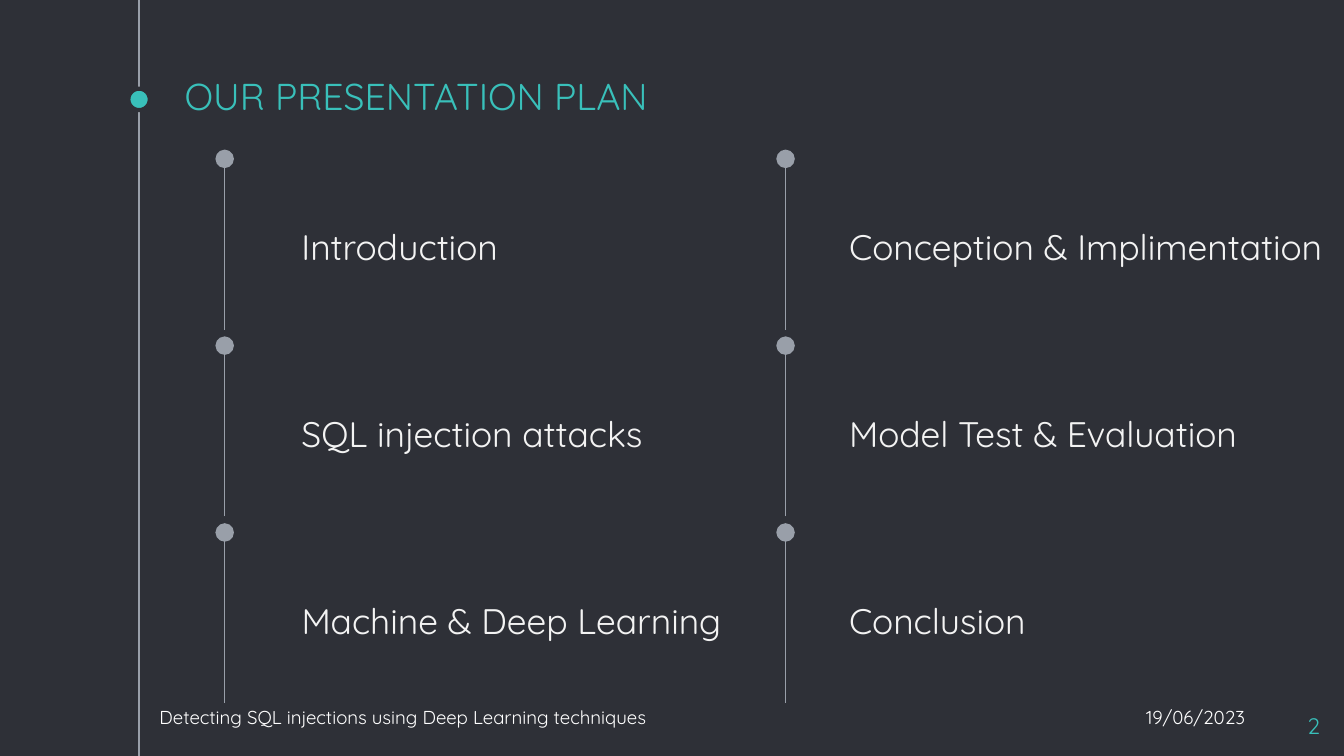
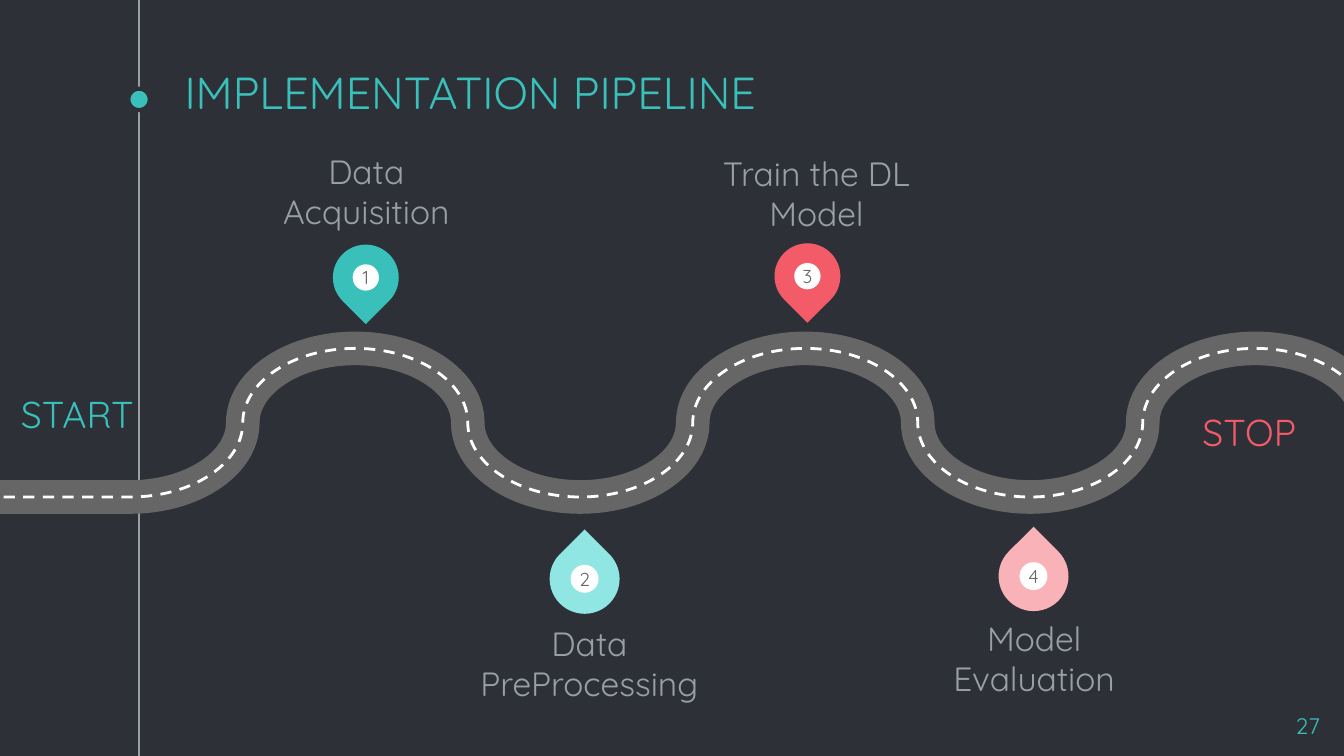
"""Build the presentation plan and the implementation pipeline slides."""
from dataclasses import dataclass
from typing import NamedTuple

from lxml import etree
from pptx import Presentation
from pptx.dml.color import RGBColor
from pptx.enum.dml import MSO_LINE
from pptx.enum.shapes import MSO_CONNECTOR, MSO_SHAPE
from pptx.enum.text import MSO_ANCHOR, MSO_AUTO_SIZE, PP_ALIGN
from pptx.oxml.ns import qn
from pptx.util import Inches, Pt

STRAIGHT = MSO_CONNECTOR.STRAIGHT
ELLIPSE, TEARDROP = MSO_SHAPE.OVAL, MSO_SHAPE.TEAR
TOP, MIDDLE, BOTTOM = MSO_ANCHOR.TOP, MSO_ANCHOR.MIDDLE, MSO_ANCHOR.BOTTOM
LEFT, CENTER, RIGHT = PP_ALIGN.LEFT, PP_ALIGN.CENTER, PP_ALIGN.RIGHT
FIXED, GROW = MSO_AUTO_SIZE.NONE, MSO_AUTO_SIZE.SHAPE_TO_FIT_TEXT
DASH = MSO_LINE.DASH

COLUMNS, ROWS = 100, 56.25
CELL = Inches(0.1)
BLANK = 6
FONT = "Quicksand"
BACKGROUND, TEAL, GREY, WHITE = "2E3037", "39C0BA", "999FA9", "FFFFFF"
CORAL, PALE_TEAL, PALE_CORAL = "F35B69", "90E6E2", "FAB2B9"
ASPHALT, PALE = "666666", "F3F3F3"
SPINE = 10.35
PLAN_TOP, PLAN_STEP, PLAN_LENGTH = 11.82, 13.9, 12.7
ROAD_START, ROAD_BEND, ROAD_END = -7, 9.7, 143.6
ROAD_MIDDLE, ROAD_RISE = 31.45, 5.53
QUARTER, HALF_WAVES, ROUNDNESS = 8.37, 7, 0.55


class Box(NamedTuple):
    """Left, top, width and height in grid cells."""
    left: float
    top: float
    width: float
    height: float


@dataclass(frozen=True)
class Style:
    """Look of one text."""
    size: float
    color: str
    align: PP_ALIGN = LEFT
    anchor: MSO_ANCHOR = TOP
    inset: float = 1


@dataclass(frozen=True)
class PlanColumn:
    """One timeline of the plan with its topics."""
    axis: float
    text_left: float
    items: tuple[tuple[str, float, float], ...]


@dataclass(frozen=True)
class Stage:
    """A pin beside the road with its label."""
    number: int
    label: str
    label_box: Box
    center: tuple[float, float]
    size: float
    rotation: float
    color: str


PLAN = (
    PlanColumn(16.72, 21.45, (("Introduction", 25.3, 4.8),
                              ("SQL injection attacks", 28.3, 4.8),
                              ("Machine & Deep Learning", 33.9, 4.5))),
    PlanColumn(58.45, 62.2, (("Conception & Implimentation", 37.8, 4.8),
                             ("Model Test & Evaluation", 31.6, 4.8),
                             ("Conclusion", 15.7, 3.1))),
)
STAGES = (
    Stage(1, "Data Acquisition", Box(20.2, 11.3, 14.1, 5.9), (27.22, 20.65), 4.9, 135, TEAL),
    Stage(3, "Train the DL Model", Box(52.3, 12.05, 16.9, 5.3), (60.08, 20.55), 4.9, 135, CORAL),
    Stage(4, "Model Evaluation", Box(68.5, 46.65, 16.9, 5.3), (76.9, 42.87), 5.2, 315, PALE_CORAL),
    Stage(2, "Data PreProcessing", Box(35.4, 47.05, 16.9, 5.3), (43.5, 43.07), 5.2, 315, PALE_TEAL),
)
ROAD_ENDS = (("START", Box(-1.3, 29.75, 14.1, 2.7), TEAL),
             ("STOP", Box(85.9, 31.1, 14.1, 2.7), CORAL))


def rgb(color: str) -> RGBColor:
    """Turn a hex string into a colour."""
    return RGBColor.from_string(color)


def grid(cells: float) -> int:
    """Turn grid cells into a length."""
    return round(cells * CELL)


def place(box: Box) -> list[int]:
    """Turn a box into lengths."""
    return [grid(cells) for cells in box]


def centered(x: float, y: float, size: float) -> Box:
    """Return a square box around a point."""
    return Box(x - size / 2, y - size / 2, size, size)


def write(shape, text: str, style: Style) -> None:
    """Write one styled run into a shape."""
    frame = shape.text_frame
    frame.word_wrap = True
    frame.auto_size = FIXED
    frame.vertical_anchor = style.anchor
    frame.margin_left = frame.margin_right = grid(style.inset)
    frame.margin_top = frame.margin_bottom = grid(style.inset)
    paragraph = frame.paragraphs[0]
    paragraph.alignment = style.align
    run = paragraph.add_run()
    run.text = text
    run.font.name = FONT
    run.font.size = Pt(style.size)
    run.font.color.rgb = rgb(style.color)


def add_text(slide, box: Box, text: str, style: Style):
    """Add a text box."""
    shape = slide.shapes.add_textbox(*place(box))
    write(shape, text, style)
    return shape


def add_footer(slide, box: Box, text: str) -> None:
    """Add a footer text that grows on one line."""
    frame = add_text(slide, box, text, Style(10, WHITE)).text_frame
    frame.margin_top = frame.margin_bottom = grid(0.5)
    frame.word_wrap = False
    frame.auto_size = GROW


def add_preset(shapes, kind: MSO_SHAPE, box: Box, fill: str):
    """Add a filled preset shape without outline."""
    shape = shapes.add_shape(kind, *place(box))
    shape.shadow.inherit = False
    shape.fill.solid()
    shape.fill.fore_color.rgb = rgb(fill)
    shape.line.fill.background()
    return shape


def add_vertical(slide, x: float, start: float, end: float, dot: bool = False):
    """Add a thin vertical line, with a large dot at its end if asked."""
    connector = slide.shapes.add_connector(
        STRAIGHT, grid(x), grid(start), grid(x), grid(end))
    connector.line.color.rgb = rgb(GREY)
    connector.line.width = Pt(0.75)
    properties = connector._element.spPr
    if dot:
        etree.SubElement(properties.find(qn("a:ln")), qn("a:tailEnd"),
                         type="oval", w="lg", len="lg")
    etree.SubElement(properties, qn("a:effectLst"))
    return connector


def decorate_layout(slide) -> None:
    """Give the slide's layout the background, spine and marker."""
    layout = slide.slide_layout
    layout.background.fill.solid()
    layout.background.fill.fore_color.rgb = rgb(BACKGROUND)
    spine = add_vertical(slide, SPINE, 0, ROWS)
    marker = add_preset(slide.shapes, ELLIPSE, centered(SPINE, 7.4, 1.6), TEAL)
    marker.line.color.rgb = rgb(BACKGROUND)
    marker.line.width = Pt(2.25)
    for shape in (spine, marker):
        layout.shapes._spTree.append(shape._element)


def add_heading(slide, title: str, size: float, number: int) -> None:
    """Add the title and the page number."""
    add_text(slide, Box(12.75, 6, 75, 3.8), title, Style(size, TEAL, anchor=BOTTOM))
    add_text(slide, Box(93.2, 52, 6, 3.4), str(number), Style(12, TEAL, RIGHT))


def road_points() -> list[tuple[int, int]]:
    """List the road's ends and curve points from right to left."""
    points = [(ROAD_START, ROAD_MIDDLE + ROAD_RISE), (ROAD_BEND, ROAD_MIDDLE + ROAD_RISE)]
    for wave in range(HALF_WAVES):
        start = ROAD_BEND + 2 * wave * QUARTER
        side, end = start + QUARTER, start + 2 * QUARTER
        rise = ROAD_RISE if wave % 2 == 0 else -ROAD_RISE
        points += [(start + ROUNDNESS * QUARTER, ROAD_MIDDLE + rise),
                   (side, ROAD_MIDDLE + ROUNDNESS * rise),
                   (side, ROAD_MIDDLE),
                   (side, ROAD_MIDDLE - ROUNDNESS * rise),
                   (end - ROUNDNESS * QUARTER, ROAD_MIDDLE - rise),
                   (end, ROAD_MIDDLE - rise)]
    points.append((ROAD_END, ROAD_MIDDLE - ROAD_RISE))
    return [(grid(x), grid(y)) for x, y in reversed(points)]


def add_road(slide, color: str, width: float):
    """Add one stroke along the road, with each three bends made a curve."""
    start, *others = road_points()
    builder = slide.shapes.build_freeform(*start)
    builder.add_line_segments(others, close=False)
    road = builder.convert_to_shape()
    bends = list(road._element.iter(qn("a:lnTo")))[1:-1]
    for first in range(0, len(bends), 3):
        curve = etree.Element(qn("a:cubicBezTo"))
        bends[first].addprevious(curve)
        for bend in bends[first:first + 3]:
            curve.append(bend[0])
            bend.getparent().remove(bend)
    road.shadow.inherit = False
    road.fill.background()
    road.line.color.rgb = rgb(color)
    road.line.width = Pt(width)
    return road


def add_pin(slide, stage: Stage) -> None:
    """Add a numbered pin as a group."""
    group = slide.shapes.add_group_shape()
    drop = add_preset(group.shapes, TEARDROP, centered(*stage.center, stage.size), stage.color)
    drop.rotation = stage.rotation
    hole = add_preset(group.shapes, ELLIPSE, centered(*stage.center, stage.size * 0.4), WHITE)
    write(hole, str(stage.number), Style(10, ASPHALT, CENTER, MIDDLE, 0))


def build_plan(slide) -> None:
    """Fill the presentation plan slide."""
    add_heading(slide, "OUR PRESENTATION PLAN", 20, 2)
    for column in PLAN:
        for row, (topic, width, height) in enumerate(column.items):
            top = PLAN_TOP + row * PLAN_STEP
            add_vertical(slide, column.axis, top + PLAN_LENGTH, top, dot=True)
            add_text(slide, Box(column.text_left, top + 3.92, width, height),
                     topic, Style(19, PALE))
    add_footer(slide, Box(84.3, 52, 9.5, 2.7), "19/06/2023")
    add_footer(slide, Box(10.88, 52, 38.9, 2.7),
               "Detecting SQL injections using Deep Learning techniques")


def build_pipeline(slide) -> None:
    """Fill the implementation pipeline slide."""
    add_heading(slide, "IMPLEMENTATION PIPELINE", 24, 27)
    add_road(slide, ASPHALT, 18)
    add_road(slide, WHITE, 1.5).line.dash_style = DASH
    for stage in STAGES:
        add_pin(slide, stage)
    for text, box, color in ROAD_ENDS:
        add_text(slide, box, text, Style(20, color, CENTER, BOTTOM, 0))
    for stage in STAGES:
        add_text(slide, stage.label_box, stage.label, Style(18, GREY, CENTER, BOTTOM, 0))


def main() -> None:
    """Build and save the presentation."""
    presentation = Presentation()
    presentation.slide_width = grid(COLUMNS)
    presentation.slide_height = grid(ROWS)
    layout = presentation.slide_layouts[BLANK]
    plan, pipeline = (presentation.slides.add_slide(layout) for _ in range(2))
    decorate_layout(plan)
    build_plan(plan)
    build_pipeline(pipeline)
    presentation.save("out.pptx")


if __name__ == "__main__":
    main()
